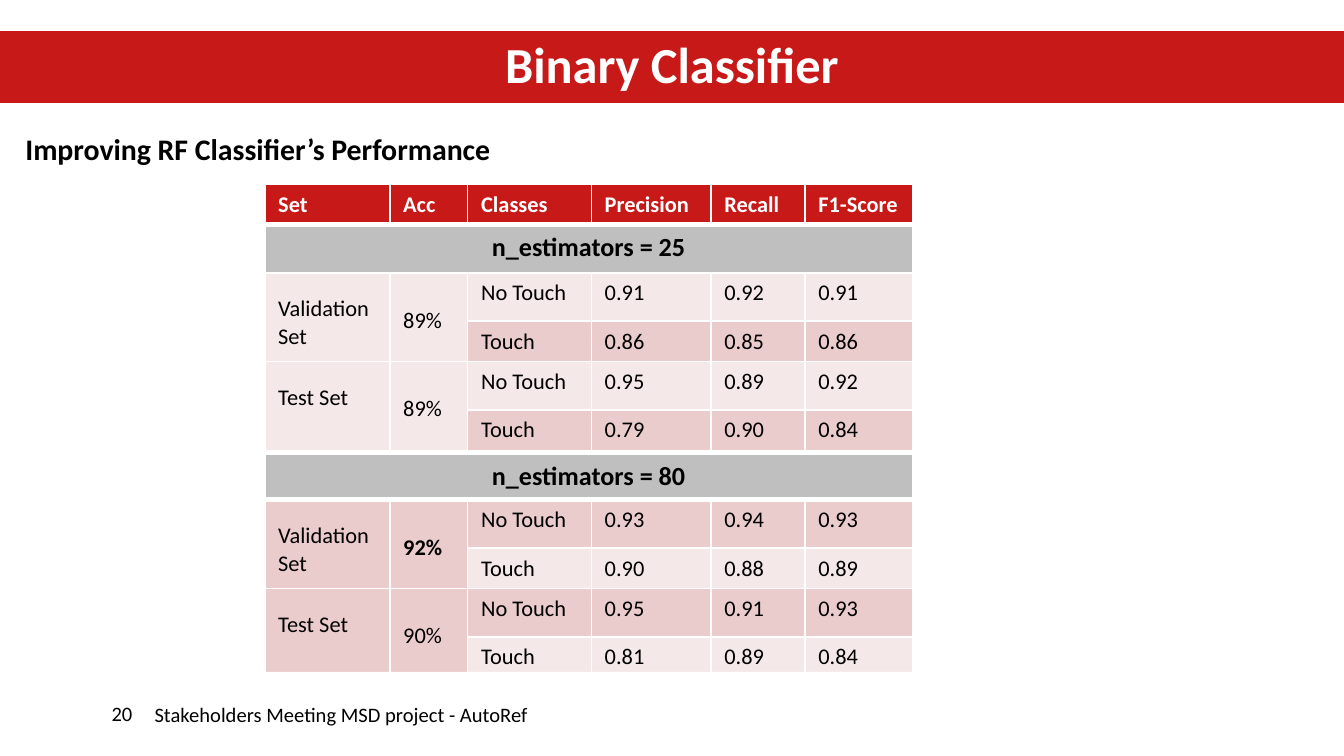
from lxml import etree
from pptx import Presentation
from pptx.dml.color import RGBColor
from pptx.enum.shapes import MSO_SHAPE
from pptx.enum.text import MSO_ANCHOR, MSO_AUTO_SIZE, PP_ALIGN
from pptx.oxml.ns import qn
from pptx.util import Emu, Pt

RECTANGLE = MSO_SHAPE.RECTANGLE
TOP, MIDDLE = MSO_ANCHOR.TOP, MSO_ANCHOR.MIDDLE
NO_FIT = MSO_AUTO_SIZE.NONE
LEFT, CENTER = PP_ALIGN.LEFT, PP_ALIGN.CENTER
TITLE_ONLY = 5
EMU_PER_PX = 9144
FONT = "Calibri"
RED, GREY, WHITE, BLACK = "C81919", "BFBFBF", "FFFFFF", "000000"
PALE, ROSE = "F5E8E8", "EBCCCC"

HEADINGS = ["Set", "Acc", "Classes", "Precision", "Recall", "F1-Score"]
COLUMNS = [93, 58, 92, 89, 70, 80]
CLASSES = ["No Touch", "Touch"]
CLASS_HEIGHTS = [36, 30]
RESULTS_25 = [
    ("Validation Set", "89%", [["0.91", "0.92", "0.91"], ["0.86", "0.85", "0.86"]]),
    ("Test Set", "89%", [["0.95", "0.89", "0.92"], ["0.79", "0.90", "0.84"]]),
]
RESULTS_80 = [
    ("Validation Set", "92%", [["0.93", "0.94", "0.93"], ["0.90", "0.88", "0.89"]]),
    ("Test Set", "90%", [["0.95", "0.91", "0.93"], ["0.81", "0.89", "0.84"]]),
]


def px(length):
    """Turn px (hundredths of an inch) into EMU."""
    return Emu(length * EMU_PER_PX)


def rgb(value):
    """Turn a hex string into a colour."""
    return RGBColor.from_string(value)


def write(frame, text, size, color=BLACK, bold=False, align=LEFT):
    """Put one formatted paragraph in a text frame and return it."""
    frame.text = text
    para = frame.paragraphs[0]
    para.alignment = align
    para.font.name = FONT
    para.font.size = Pt(size)
    para.font.bold = bold
    para.font.color.rgb = rgb(color)
    return para


def set_insets(frame, left=0):
    """Clear the insets of a text frame except the left one."""
    frame.margin_left = px(left)
    frame.margin_top = frame.margin_right = frame.margin_bottom = 0


def add_rectangle(page, box, fill):
    """Draw a plain filled rectangle without line or shadow."""
    shape = page.shapes.add_shape(RECTANGLE, *map(px, box))
    shape.shadow.inherit = False
    shape.fill.solid()
    shape.fill.fore_color.rgb = rgb(fill)
    shape.line.fill.background()
    return shape


def add_title(page, box, text):
    """Draw the red title bar and set the title on it."""
    left, top, width, height = box
    bar = add_rectangle(page, box, RED)
    bar.line.color.rgb = rgb(RED)
    bar.line.width = Pt(1)
    title = page.shapes.title
    title.left, title.top = px(left), px(top + 8)
    title.width, title.height = px(width), px(height - 5)
    frame = title.text_frame
    set_insets(frame)
    frame.auto_size = NO_FIT
    frame.vertical_anchor = TOP
    write(frame, text, 27, WHITE, True, CENTER).line_spacing = Pt(27)
    bar.element.addnext(title.element)


def add_subtitle(page, box, text):
    """Add the bold line under the title bar."""
    frame = page.shapes.add_textbox(*map(px, box)).text_frame
    frame.word_wrap = True
    write(frame, text, 16, bold=True)


def add_footer_part(page, box, text, inset=0):
    """Add one white footer block with text starting at the inset."""
    frame = add_rectangle(page, box, WHITE).text_frame
    frame.word_wrap = True
    frame.vertical_anchor = MIDDLE
    set_insets(frame, inset)
    write(frame, text, 11)


def style_cell(cell, fill, top=1, bottom=1):
    """Give a cell white borders and a solid fill."""
    properties = cell._tc.get_or_add_tcPr()
    for side, points in zip("LRTB", (1, 1, top, bottom)):
        line = etree.SubElement(properties, qn(f"a:ln{side}"), w=str(Pt(points)))
        solid = etree.SubElement(line, qn("a:solidFill"))
        etree.SubElement(solid, qn("a:srgbClr"), val=WHITE)
    cell.fill.solid()
    cell.fill.fore_color.rgb = rgb(fill)


def add_results(page, left, top, label, results, shades, headings=()):
    """Add a table of scores for one number of estimators."""
    heights = [30, 36] if headings else [34]
    first = len(heights)
    heights += CLASS_HEIGHTS * len(results)
    fills = [RED, GREY][-first:] + list(shades) * len(results)
    frame = page.shapes.add_table(
        len(heights), len(COLUMNS), px(left), px(top), px(sum(COLUMNS)), px(sum(heights)))
    table = frame.table
    table.horz_banding = False
    for column, width in zip(table.columns, COLUMNS):
        column.width = px(width)
    for index, (row, height) in enumerate(zip(table.rows, heights)):
        row.height = px(height)
        for number, cell in enumerate(row.cells):
            fill = shades[0] if index >= first and number < 2 else fills[index]
            style_cell(cell, fill, 3 if index == 1 else 1, 3 if index == 0 else 1)
    for number, heading in enumerate(headings):
        write(table.cell(0, number).text_frame, heading, 12, WHITE, True)
    band = table.cell(first - 1, 0)
    band.merge(table.cell(first - 1, len(COLUMNS) - 1))
    write(band.text_frame, label, 14, bold=True, align=CENTER)
    for group, (name, accuracy, scores) in enumerate(results):
        start = first + group * len(CLASSES)
        for number in range(2):
            table.cell(start, number).merge(table.cell(start + 1, number))
        name_cell = table.cell(start, 0)
        name_cell.margin_top = px(17)
        write(name_cell.text_frame, name, 12)
        para = write(table.cell(start, 1).text_frame, accuracy, 12, bold=accuracy == "92%")
        para.line_spacing = 2.0
        for offset, (kind, values) in enumerate(zip(CLASSES, scores)):
            for number, text in enumerate([kind, *values], 2):
                write(table.cell(start + offset, number).text_frame, text, 12)


def main():
    """Build the slide and save the deck."""
    deck = Presentation()
    deck.slide_width = px(1000)
    deck.slide_height = Emu(deck.slide_width * 9 // 16)
    page = deck.slides.add_slide(deck.slide_layouts[TITLE_ONLY])
    add_footer_part(page, (0, 500, 122, 62), "20", 83)
    add_title(page, (0, 24, 1000, 52), "Binary Classifier")
    add_subtitle(page, (9, 92, 605, 37), "Improving RF Classifier’s Performance")
    add_results(page, 197, 338, "n_estimators = 80", RESULTS_80, (ROSE, PALE))
    add_results(page, 197, 137, "n_estimators = 25", RESULTS_25, (PALE, ROSE), HEADINGS)
    add_footer_part(page, (115, 500, 770, 63), "Stakeholders Meeting MSD project - AutoRef")
    deck.save("out.pptx")


if __name__ == "__main__":
    main()
